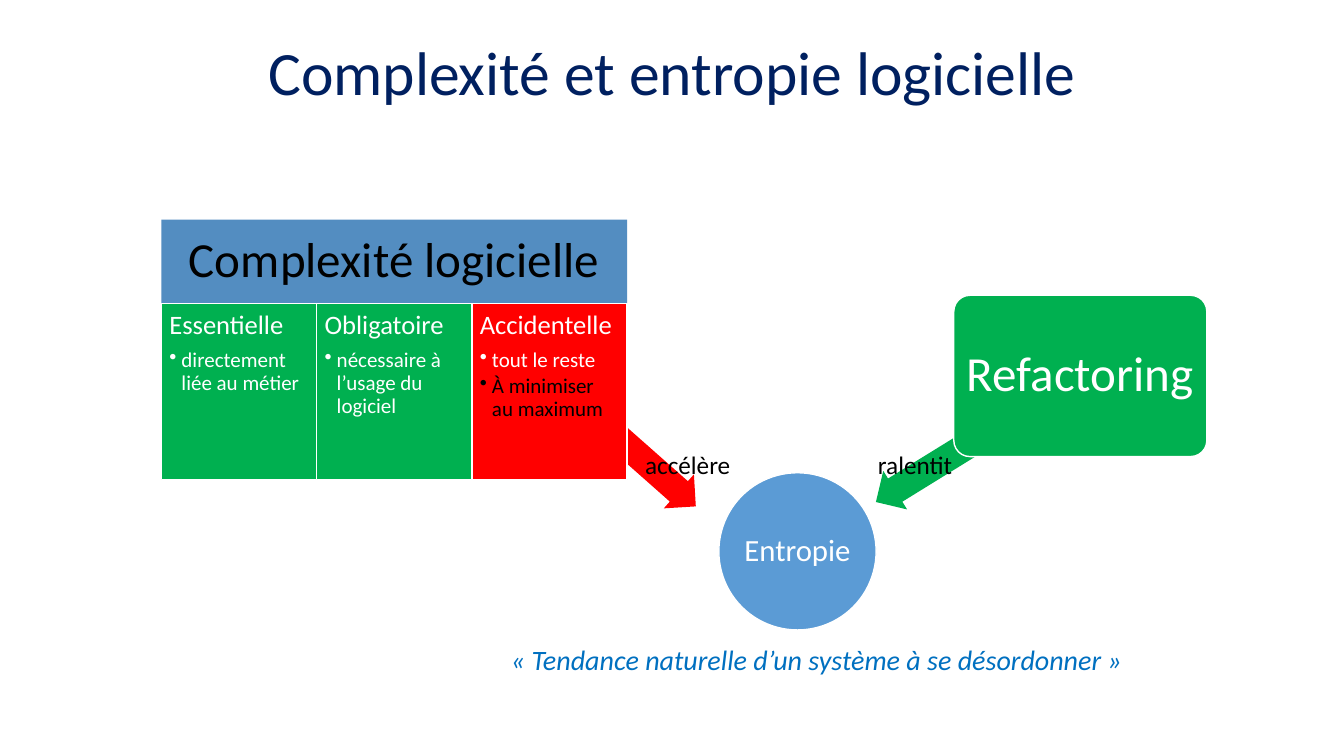
import pptx
import pptx.util
import pptx.dml.color
import pptx.enum.shapes
import pptx.enum.text
from lxml import etree

Inches, Pt = pptx.util.Inches, pptx.util.Pt
KIND = pptx.enum.shapes.MSO_SHAPE
ALIGN = pptx.enum.text.PP_ALIGN
ANCHOR = pptx.enum.text.MSO_ANCHOR

WHITE, BLACK, GREEN, RED = "FFFFFF", "000000", "00B050", "FF0000"
TITLE = "Complexité et entropie logicielle"
HEAD = "Complexité logicielle"
COLUMNS = [
    ("Essentielle", GREEN, [("directement liée au métier", WHITE)]),
    ("Obligatoire", GREEN, [("nécessaire à l’usage du logiciel", WHITE)]),
    ("Accidentelle", RED, [("tout le reste", WHITE), ("À minimiser au maximum", BLACK)]),
]
QUOTE = "«\u00a0Tendance naturelle d’un système à se désordonner\u00a0»".replace("\u00a0", chr(160))
LABELS = [("accélère", 6.3), ("ralentit", 8.61)]
LEFT, TOP, WIDE, HIGH = 1.6, 2.18, 4.62, 0.83
BODY = 1.75


def color(code):
    return pptx.dml.color.RGBColor.from_string(code)


def place(box):
    return [Inches(n) for n in box]


def style(para, size, code, align=ALIGN.LEFT, italic=False):
    para.alignment = align
    for run in para.runs:
        font = run.font
        font.name, font.size, font.italic = "Calibri", Pt(size), italic
        font.color.rgb = color(code)


def shape(kind, box, fill, line=None, adjust=(), turn=0):
    item = slide.shapes.add_shape(kind, *place(box))
    item.shadow.inherit = False
    item.fill.solid()
    item.fill.fore_color.rgb = color(fill)
    if line:
        item.line.color.rgb = color(line)
        item.line.width = Pt(1)
    else:
        item.line.fill.background()
    for i, value in enumerate(adjust):
        item.adjustments[i] = value
    item.rotation = turn
    return item


def inset(item, gap, anchor):
    frame = item.text_frame
    frame.margin_left = frame.margin_right = Inches(gap)
    frame.margin_top = frame.margin_bottom = Inches(gap)
    frame.word_wrap = True
    frame.vertical_anchor = anchor
    return frame


def label(item, text, size, code, gap):
    frame = inset(item, gap, ANCHOR.MIDDLE)
    frame.text = text
    para = frame.paragraphs[0]
    para.line_spacing = 0.9
    style(para, size, code, ALIGN.CENTER)


def note(text, box, size, code, wrap=True, italic=False):
    frame = slide.shapes.add_textbox(*place(box)).text_frame
    frame.word_wrap = wrap
    frame.text = text
    style(frame.paragraphs[0], size, code, italic=italic)


def bullet(para):
    para.level = 1
    props = para._p.get_or_add_pPr()
    props.set("marL", str(Inches(0.12)))
    props.set("indent", str(Inches(-0.12)))
    mark = etree.SubElement(props, pptx.oxml.ns.qn("a:buChar"))
    mark.set("char", "•")


def column(item, name, points):
    frame = inset(item, 0.08, ANCHOR.TOP)
    frame.text = "\n".join([name] + [text for text, _ in points])
    looks = [(19, WHITE, 0.35)] + [(15, code, 0.15) for _, code in points]
    for i, (para, (size, code, share)) in enumerate(zip(frame.paragraphs, looks)):
        para.line_spacing = 0.9
        para.space_after = Pt(size * share)
        style(para, size, code)
        if i:
            bullet(para)


deck = pptx.Presentation()
deck.slide_width, deck.slide_height = Inches(13.33), Inches(7.5)
slide = deck.slides.add_slide(deck.slide_layouts[5])

title = slide.shapes.title
title.left, title.top, title.width, title.height = place((0.92, 0.02, 11.5, 1.45))
label(title, TITLE, 44, "002060", 0.05)

shape(KIND.LEFT_ARROW, (4.82, 4.01, 2.38, 0.45), RED, adjust=(0.6, 0.5), turn=221.5)
disc = shape(KIND.OVAL, (7.13, 4.69, 1.56, 1.56), "5B9BD5", WHITE)
label(disc, "Entropie", 22, WHITE, 0.02)
shape(KIND.LEFT_ARROW, (8.51, 4.13, 2.38, 0.45), GREEN, adjust=(0.6, 0.5), turn=328.3)
card = shape(KIND.ROUNDED_RECTANGLE, (9.46, 2.93, 2.51, 1.6), GREEN, WHITE, (0.1,))
label(card, "Refactoring", 35, WHITE, 0.07)

for text, x in LABELS:
    note(text, (x, 4.41, 1.06, 0.4), 18, BLACK)
note(QUOTE, (4.97, 6.32, 6.44, 0.44), 20, "0070C0", wrap=False, italic=True)

head = shape(KIND.RECTANGLE, (LEFT, TOP, WIDE, HIGH), "538DC1")
label(head, HEAD, 35, BLACK, 0.15)
step = WIDE / len(COLUMNS)
for i, (name, fill, points) in enumerate(COLUMNS):
    cell = shape(KIND.RECTANGLE, (LEFT + i * step, TOP + HIGH, step, BODY), fill, WHITE)
    column(cell, name, points)

deck.save("out.pptx")
